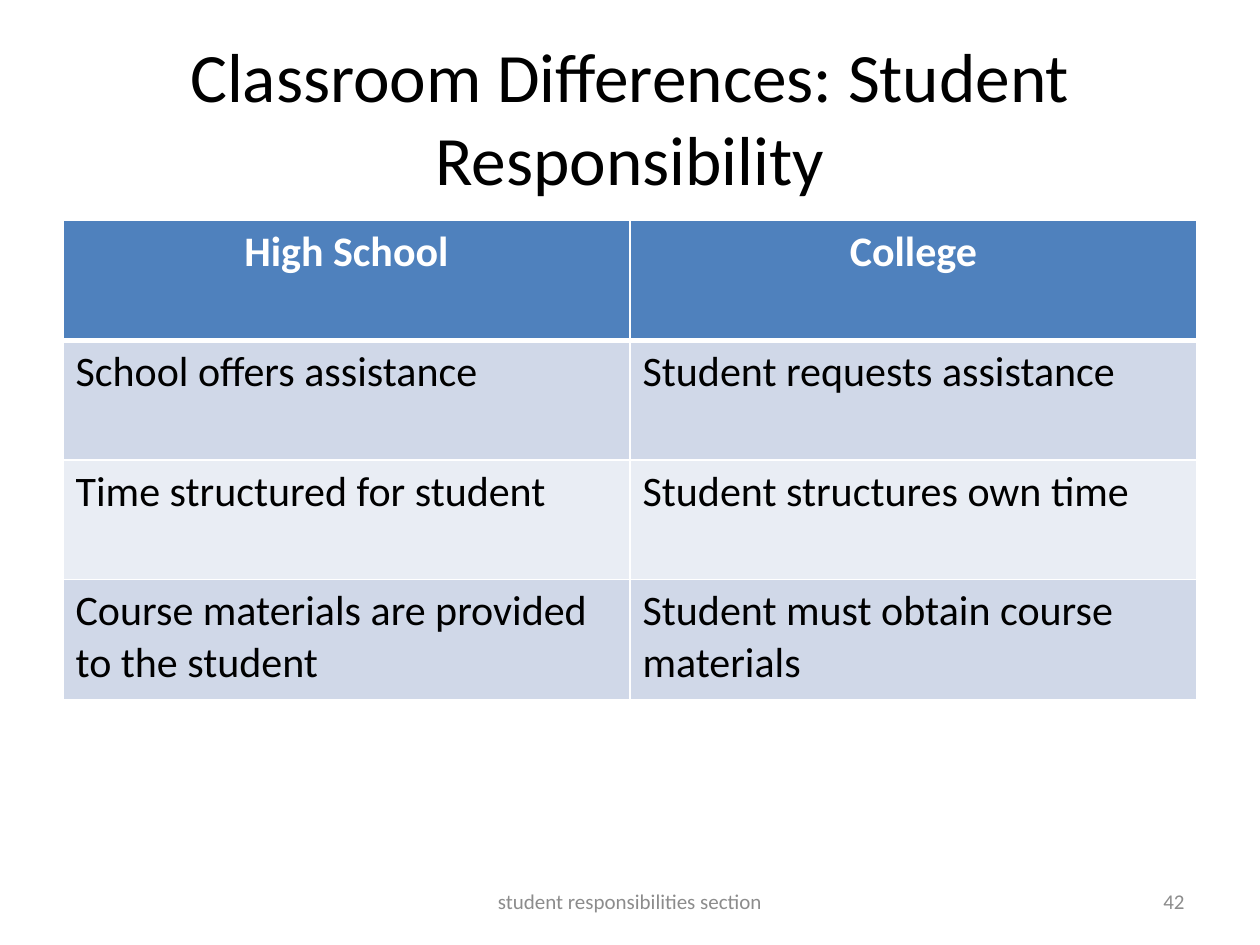
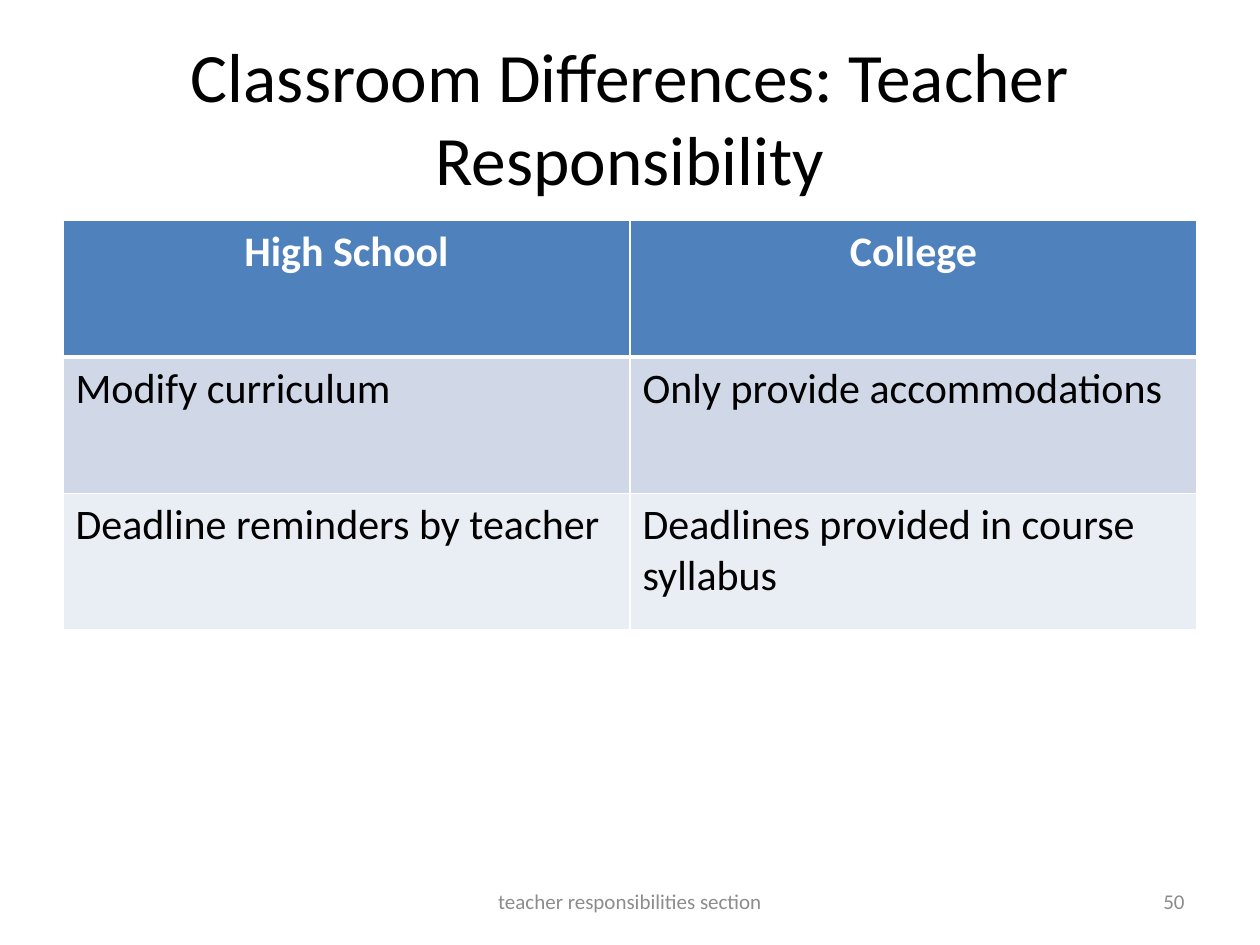
import pptx
import pptx.dml.color
import pptx.enum.text
import pptx.oxml
import pptx.oxml.ns
import pptx.util

Pt = pptx.util.Pt
ALIGN = pptx.enum.text.PP_ALIGN
MIDDLE = pptx.enum.text.MSO_ANCHOR.MIDDLE


def color(value):
    """Turn a hex string into a colour."""
    return pptx.dml.color.RGBColor.from_string(value)


class Deck:
    """Hold the shared style and the current slide."""

    font = "Calibri"
    black, white, gray = "000000", "FFFFFF", "8C8C8C"
    header, bands = "4F81BD", ("D0D8E8", "E9EDF4")
    left, width = 36, 648

    def __init__(self):
        """Start a 10 by 7.5 inch presentation."""
        self.prs = pptx.Presentation()
        self.prs.slide_width, self.prs.slide_height = Pt(720), Pt(540)

    def slide(self):
        """Add a blank slide with a white background."""
        self.s = self.prs.slides.add_slide(self.prs.slide_layouts[6])
        fill = self.s.background.fill
        fill.solid()
        fill.fore_color.rgb = color(self.white)

    def set_text(self, tf, text, size, ink, align, bold=False):
        """Put one formatted paragraph into a text frame."""
        tf.text = text
        p = tf.paragraphs[0]
        p.alignment = align
        for r in p.runs:
            r.font.name, r.font.size, r.font.bold = self.font, Pt(size), bold
            r.font.color.rgb = color(ink)

    def text(self, box, text, size, ink, align):
        """Add a wrapped text box anchored in the middle."""
        tf = self.s.shapes.add_textbox(*map(Pt, box)).text_frame
        tf.word_wrap = True
        tf.vertical_anchor = MIDDLE
        self.set_text(tf, text, size, ink, align)

    def title(self, text):
        """Add the slide title."""
        self.text((self.left, 21.6, self.width, 90), text, 39.6, self.black, ALIGN.CENTER)

    def footer(self, text, number):
        """Add the section name and the slide number."""
        self.text((516, 500.4, 168, 28.8), str(number), 12, self.gray, ALIGN.RIGHT)
        self.text((246, 500.4, 228, 28.8), text, 12, self.gray, ALIGN.CENTER)

    def border(self, cell, side, width):
        """Draw a white border on one side of a cell."""
        cell._tc.get_or_add_tcPr().append(pptx.oxml.parse_xml(
            f'<a:ln{side} {pptx.oxml.ns.nsdecls("a")} w="{Pt(width)}"><a:solidFill>'
            f'<a:srgbClr val="{self.white}"/></a:solidFill></a:ln{side}>'))

    def table(self, rows, row_height):
        """Add a banded table whose first row is the header."""
        columns = len(rows[0])
        table = self.s.shapes.add_table(
            len(rows), columns, Pt(self.left), Pt(126),
            Pt(self.width), Pt(row_height * len(rows))).table
        for column in table.columns:
            column.width = Pt(self.width / columns)
        for i, row in enumerate(rows):
            table.rows[i].height = Pt(row_height)
            for j, text in enumerate(row):
                self.cell(table.cell(i, j), i, text)

    def cell(self, cell, i, text):
        """Fill in one cell of table row i."""
        head = i == 0
        for side in "LRTB":
            under_header = (i, side) in ((0, "B"), (1, "T"))
            self.border(cell, side, 3 if under_header else 1)
        cell.fill.solid()
        cell.fill.fore_color.rgb = color(self.header if head else self.bands[(i - 1) % 2])
        self.set_text(cell.text_frame, text, 24, self.white if head else self.black,
                      ALIGN.CENTER if head else ALIGN.LEFT, head)

    def comparison(self, role, number, row_height, rows):
        """Build one slide that compares high school with college."""
        self.slide()
        self.title(f"Classroom Differences: {role} Responsibility")
        self.table([("High School", "College"), *rows], row_height)
        self.footer(f"{role.lower()} responsibilities section", number)


def main():
    """Build and save both slides."""
    deck = Deck()
    deck.comparison("Student", 42, 68.4, [
        ("School offers assistance", "Student requests assistance"),
        ("Time structured for student", "Student structures own time"),
        ("Course materials are provided to the student",
         "Student must obtain course materials"),
    ])
    deck.comparison("Teacher", 50, 78, [
        ("Modify curriculum", "Only provide accommodations"),
        ("Deadline reminders by teacher", "Deadlines provided in course syllabus"),
    ])
    deck.prs.save("out.pptx")


if __name__ == "__main__":
    main()
